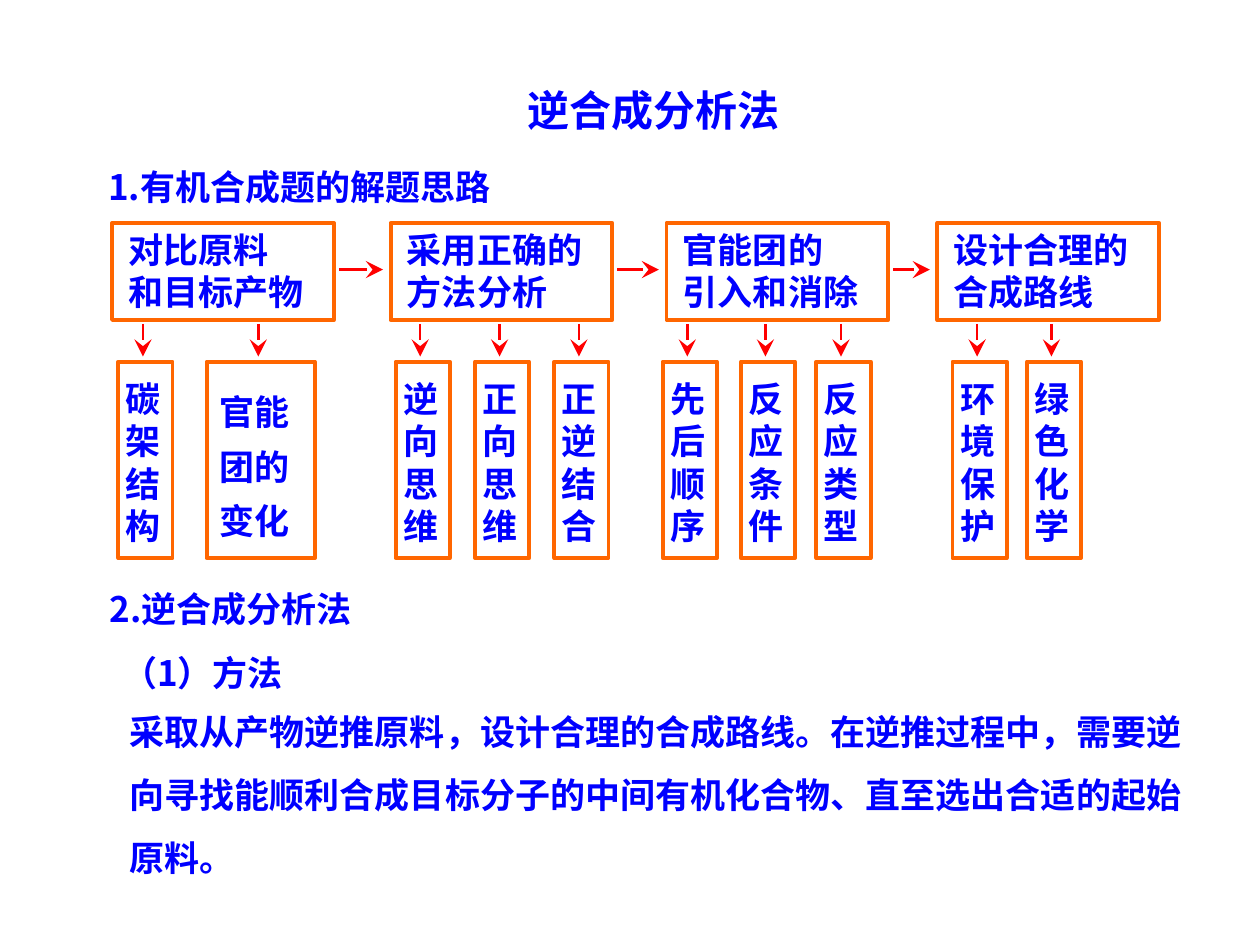
from dataclasses import dataclass
from lxml.etree import SubElement
from pptx import Presentation
from pptx.dml.color import RGBColor
from pptx.enum.shapes import MSO_CONNECTOR, MSO_SHAPE
from pptx.enum.text import MSO_ANCHOR, MSO_AUTO_SIZE, PP_ALIGN
from pptx.oxml.ns import qn
from pptx.slide import Slide
from pptx.util import Inches, Pt

COLUMNS, ROWS = 100, 75
WIDTH, HEIGHT = Inches(10), Inches(7.5)

STEP_WIDTH, STEP_TOP, STEP_HEIGHT = 17.6, 17.7, 7.7
BRANCH_WIDTH, BRANCH_TOP, BRANCH_HEIGHT = 4.3, 28.7, 15.6
STEPS = [
    (8.9, ["对比原料", "和目标产物"]),
    (31, ["采用正确的", "方法分析"]),
    (52.9, ["官能团的", "引入和消除"]),
    (74.4, ["设计合理的", "合成路线"]),
]
BRANCHES = [
    (9.4, "碳架结构"),
    (31.4, "逆向思维"),
    (37.7, "正向思维"),
    (44, "正逆结合"),
    (52.6, "先后顺序"),
    (58.8, "反应条件"),
    (64.8, "反应类型"),
    (75.6, "环境保护"),
    (81.5, "绿色化学"),
]


def color(value):
    return RGBColor.from_string(value)


def across(columns):
    return round(WIDTH * columns / COLUMNS)


def down(rows):
    return round(HEIGHT * rows / ROWS)


def write(shape, lines, font, fill, size=20, spacing=1, inset=(1, 0.8)):
    frame = shape.text_frame
    frame.word_wrap = True
    frame.auto_size = MSO_AUTO_SIZE.NONE
    frame.vertical_anchor = MSO_ANCHOR.TOP
    frame.margin_left, frame.margin_top = across(inset[0]), down(inset[1])
    frame.margin_right = frame.margin_bottom = 0
    for index, line in enumerate(lines):
        paragraph = frame.add_paragraph() if index else frame.paragraphs[0]
        paragraph.alignment = PP_ALIGN.LEFT
        paragraph.line_spacing = Pt(size * 1.2 * spacing)
        run = paragraph.add_run()
        run.text = line
        run.font.name = font
        run.font.size = Pt(size)
        run.font.bold = True
        run.font.color.rgb = color(fill)
        SubElement(run.font._element, qn("a:ea"), typeface=font)


@dataclass
class Board:
    slide: Slide
    font: str = "Noto Sans CJK SC"
    ink: str = "0000FF"
    border: str = "FF6600"
    arrow_color: str = "FF0000"

    def title(self, text, left, top, width, height):
        shape = self.slide.shapes.title
        shape.left, shape.top = across(left), down(top)
        shape.width, shape.height = across(width), down(height)
        write(shape, [text], self.font, self.ink, size=24)

    def label(self, text, left, top, width, height, **style):
        shape = self.slide.shapes.add_textbox(
            across(left), down(top), across(width), down(height))
        write(shape, [text], self.font, self.ink, **style)

    def box(self, lines, left, top, width, height, **style):
        shape = self.slide.shapes.add_shape(
            MSO_SHAPE.RECTANGLE, across(left), down(top), across(width), down(height))
        shape.shadow.inherit = False
        shape.fill.background()
        shape.line.color.rgb = color(self.border)
        shape.line.width = Pt(2.25)
        write(shape, lines, self.font, self.ink, **style)

    def arrow(self, left, top, right, bottom):
        connector = self.slide.shapes.add_connector(
            MSO_CONNECTOR.STRAIGHT, across(left), down(top), across(right), down(bottom))
        connector.line.color.rgb = color(self.arrow_color)
        connector.line.width = Pt(1.5)
        SubElement(connector.line._get_or_add_ln(), qn("a:tailEnd"),
                   type="stealth", w="lg", len="lg")
        SubElement(connector._element.spPr, qn("a:effectLst"))

    def branch(self, lines, left, width=BRANCH_WIDTH, **style):
        self.box(lines, left, BRANCH_TOP, width, BRANCH_HEIGHT, **style)
        center = left + width / 2 - 0.2
        self.arrow(center, 25.7, center, 28.3)


def main():
    presentation = Presentation()
    presentation.slide_width, presentation.slide_height = WIDTH, HEIGHT
    board = Board(presentation.slides.add_slide(presentation.slide_layouts[5]))

    board.title("逆合成分析法", 40.9, 5.9, 42.6, 5)
    board.label("1.有机合成题的解题思路", 7.6, 12.3, 42.6, 4.4)

    for left, lines in STEPS:
        board.box(lines, left, STEP_TOP, STEP_WIDTH, STEP_HEIGHT, inset=(1.3, 0.4))
    for (left, _), (following, _) in zip(STEPS, STEPS[1:]):
        board.arrow(left + STEP_WIDTH + 0.4, 21.4, following - 0.6, 21.4)

    for left, text in BRANCHES:
        board.branch(list(text), left, inset=(0.6, 1.3))
    board.branch(["官能", "团的", "变化"], 16.4, width=8.6, spacing=1.3, inset=(1, 1.3))

    board.label("2.逆合成分析法", 7.7, 45.8, 35.5, 4.4)
    board.label("（1）方法", 8.7, 50.9, 35.5, 4.4)
    board.label(
        "采取从产物逆推原料，设计合理的合成路线。在逆推过程中，需要逆向寻找能顺利合成"
        "目标分子的中间有机化合物、直至选出合适的起始原料。",
        9.3, 53.9, 86, 16, spacing=1.5)

    presentation.save("out.pptx")


if __name__ == "__main__":
    main()
